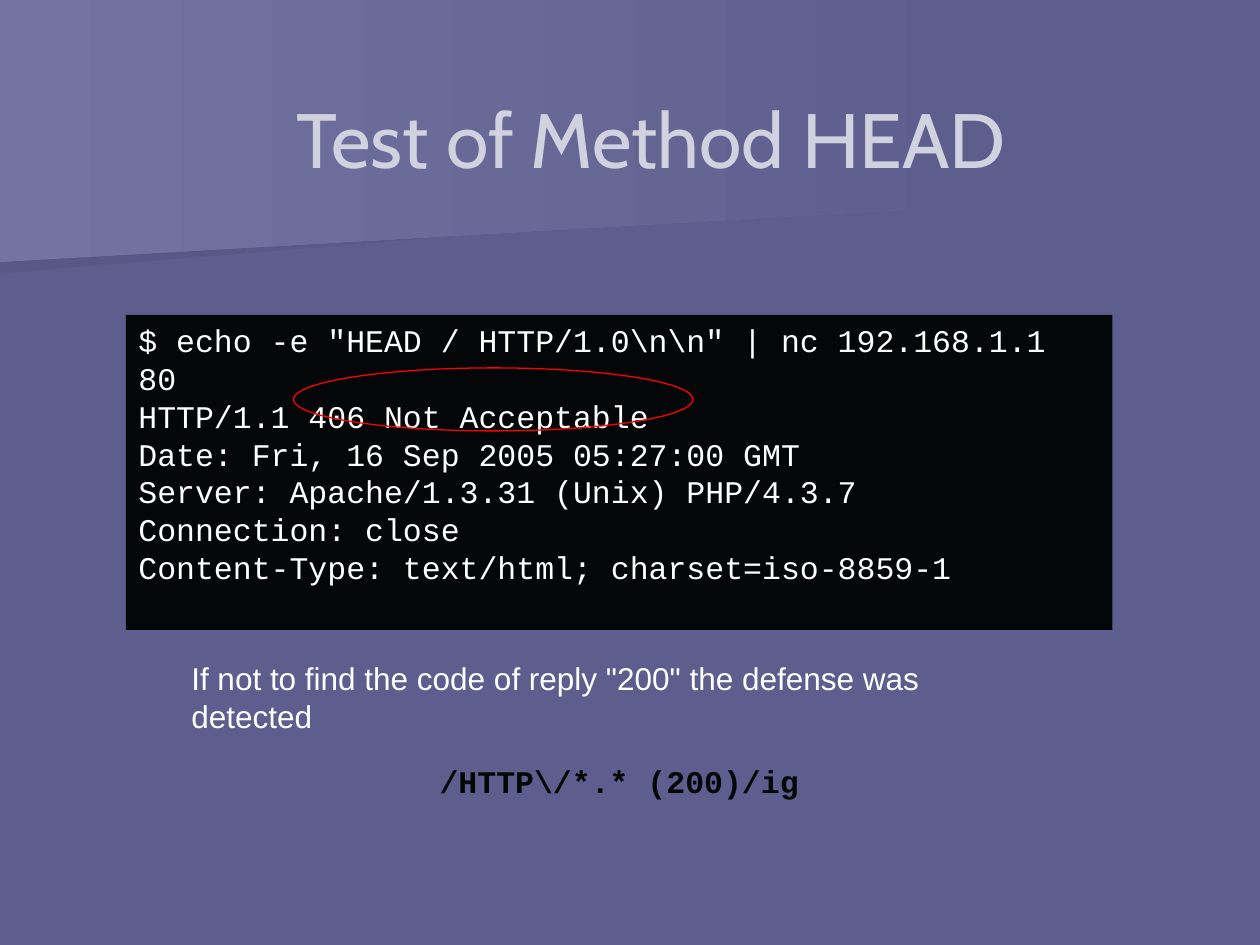
from dataclasses import dataclass

from pptx import Presentation
from pptx.dml.color import RGBColor
from pptx.enum.shapes import MSO_SHAPE as Preset
from pptx.enum.text import MSO_ANCHOR as Anchor, PP_ALIGN as Align
from pptx.slide import Slide
from pptx.text.text import TextFrame
from pptx.util import Inches, Pt


@dataclass(frozen=True)
class Theme:
    background: str = "5E5E8E"
    band_shadow: str = "585885"
    band_light: str = "7474A2"
    title: str = "D1D1DF"
    dark: str = "040608"
    white: str = "FFFFFF"
    highlight: str = "FF0000"
    title_size: float = 44
    body_size: float = 18
    title_font: str = "Cabin"
    body_font: str = "Arial"
    code_font: str = "Courier New"


THEME = Theme()
Box = tuple[float, float, float, float]


@dataclass(frozen=True)
class Band:
    points: list[tuple[float, float]]
    left_color: str


@dataclass(frozen=True)
class Label:
    text: str
    box: Box
    font: str
    color: str
    size: float = THEME.body_size
    bold: bool = False
    wrap: bool = False
    align: Align = Align.LEFT
    anchor: Anchor = Anchor.MIDDLE


BANDS = [
    Band([(7.78, 1.53), (0, 2.17), (0, 1.01), (7.79, 1.01)], THEME.band_shadow),
    Band([(7.92, 1.62), (0, 2.08), (0, 0), (7.92, 0)], THEME.band_light),
]

TITLE = Label("Test of Method HEAD", (0.67, 0.47, 9, 1.25), THEME.title_font,
              THEME.title, THEME.title_size, wrap=True, align=Align.CENTER)

TERMINAL = Label(
    r'''$ echo -e "HEAD / HTTP/1.0\n\n" | nc 192.168.1.1 80
HTTP/1.1 406 Not Acceptable
Date: Fri, 16 Sep 2005 05:27:00 GMT
Server: Apache/1.3.31 (Unix) PHP/4.3.7
Connection: close
Content-Type: text/html; charset=iso-8859-1''',
    (1, 2.5, 7.83, 2.5), THEME.code_font, THEME.white, wrap=True, anchor=Anchor.TOP)

PATTERN = Label(r"/HTTP\/*.* (200)/ig", (3.39, 6, 3.05, 0.4),
                THEME.code_font, THEME.dark, bold=True)

EXPLANATION = Label('If not to find the code of reply "200" the defense was detected',
                    (1.42, 5.33, 7, 0.4), THEME.body_font, THEME.white)

STATUS_BOX: Box = (2.33, 2.92, 3.17, 0.5)


def rgb(color: str) -> RGBColor:
    return RGBColor.from_string(color)


def draw_band(slide: Slide, band: Band) -> None:
    start, *rest = [(Inches(x), Inches(y)) for x, y in band.points]
    builder = slide.shapes.build_freeform(*start)
    builder.add_line_segments(rest, close=True)
    shape = builder.convert_to_shape()
    shape.shadow.inherit = False
    shape.line.fill.background()
    shape.fill.gradient()
    shape.fill.gradient_angle = 0
    for stop, color in zip(shape.fill.gradient_stops, (band.left_color, THEME.background)):
        stop.color.rgb = rgb(color)


def write_text(frame: TextFrame, label: Label) -> None:
    frame.word_wrap = label.wrap
    frame.vertical_anchor = label.anchor
    frame.text = label.text
    for paragraph in frame.paragraphs:
        paragraph.alignment = label.align
        font = paragraph.font
        font.name = label.font
        font.size = Pt(label.size)
        font.bold = label.bold
        font.color.rgb = rgb(label.color)


def draw_label(slide: Slide, label: Label) -> None:
    textbox = slide.shapes.add_textbox(*map(Inches, label.box))
    write_text(textbox.text_frame, label)


def draw_terminal(slide: Slide, label: Label) -> None:
    panel = slide.shapes.add_shape(Preset.RECTANGLE, *map(Inches, label.box))
    panel.shadow.inherit = False
    panel.fill.solid()
    panel.fill.fore_color.rgb = rgb(THEME.dark)
    panel.line.fill.background()
    write_text(panel.text_frame, label)


def draw_highlight(slide: Slide, box: Box) -> None:
    ellipse = slide.shapes.add_shape(Preset.OVAL, *map(Inches, box))
    ellipse.shadow.inherit = False
    ellipse.fill.background()
    ellipse.line.color.rgb = rgb(THEME.highlight)
    ellipse.line.width = Pt(0.75)


def main() -> None:
    prs = Presentation()
    prs.slide_width, prs.slide_height = Inches(10), Inches(7.5)
    slide = prs.slides.add_slide(prs.slide_layouts[6])

    # Background with its slanted bands
    slide.background.fill.solid()
    slide.background.fill.fore_color.rgb = rgb(THEME.background)
    for band in BANDS:
        draw_band(slide, band)

    # Title, terminal session and the lines below it
    draw_label(slide, TITLE)
    draw_terminal(slide, TERMINAL)
    for label in (PATTERN, EXPLANATION):
        draw_label(slide, label)

    # Ring around the reply status
    draw_highlight(slide, STATUS_BOX)

    prs.save("out.pptx")


if __name__ == "__main__":
    main()
